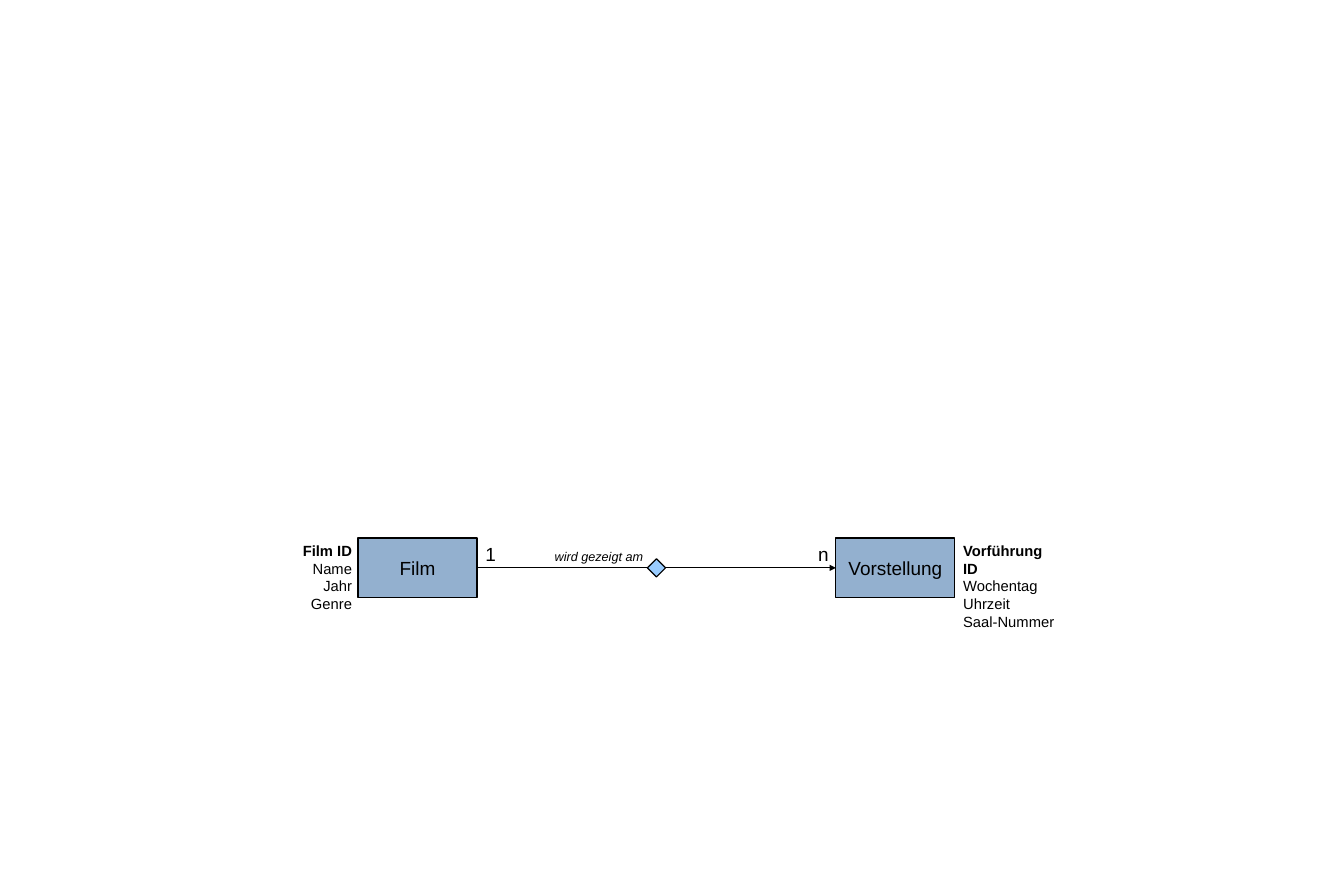
from lxml import etree
from pptx import Presentation
from pptx.dml.color import RGBColor
from pptx.enum.shapes import MSO_CONNECTOR, MSO_SHAPE
from pptx.enum.text import MSO_ANCHOR, PP_ALIGN
from pptx.oxml.ns import qn
from pptx.util import Inches, Pt

STRAIGHT = MSO_CONNECTOR.STRAIGHT
RECTANGLE, DIAMOND = MSO_SHAPE.RECTANGLE, MSO_SHAPE.DIAMOND
MIDDLE = MSO_ANCHOR.MIDDLE
LEFT, CENTER, RIGHT = PP_ALIGN.LEFT, PP_ALIGN.CENTER, PP_ALIGN.RIGHT

COLORS = {"ink": "000000", "entity": "93B0CF", "relation": "99CCFF"}
FONT = "Arial"
LINE_WIDTH = 1.13

ENTITY_WIDTH, ENTITY_HEIGHT, ENTITY_TOP = 1.57, 0.79, 7.09
DIAMOND_SIZE = 0.24
ENTITIES = [("Film", 4.72), ("Vorstellung", 11.02)]
LABELS = [
    (["Film ID", "Name", "Jahr", "Genre"], (3.89, 7.09, 0.85, 0.97), 14, RIGHT, "key"),
    (["Vorführung ID", "Wochentag", "Uhrzeit", "Saal-Nummer"],
     (12.6, 7.09, 1.49, 0.97), 14, LEFT, "key"),
    (["1"], (6.3, 7.1, 0.34, 0.38), 18, LEFT, "plain"),
    (["n"], (10.69, 7.1, 0.34, 0.38), 18, LEFT, "plain"),
    (["wird gezeigt am"], (7.21, 7.19, 1.37, 0.29), 12, RIGHT, "italic"),
]


def color(name):
    return RGBColor.from_string(COLORS[name])


def write(frame, lines, size, align, style="plain"):
    frame.word_wrap = False
    for index, line in enumerate(lines):
        para = frame.add_paragraph() if index else frame.paragraphs[0]
        para.alignment = align
        span = para.add_run()
        span.text = line
        span.font.name = FONT
        span.font.size = Pt(size)
        span.font.color.rgb = color("ink")
        span.font.bold = style == "key" and index == 0
        span.font.italic = style == "italic"


def add_outlined(kind, left, top, width, height, fill):
    shape = page.shapes.add_shape(
        kind, Inches(left), Inches(top), Inches(width), Inches(height))
    shape.shadow.inherit = False
    shape.fill.solid()
    shape.fill.fore_color.rgb = color(fill)
    shape.line.color.rgb = color("ink")
    shape.line.width = Pt(LINE_WIDTH)
    return shape


def add_entity(name, left):
    box = add_outlined(RECTANGLE, left, ENTITY_TOP, ENTITY_WIDTH, ENTITY_HEIGHT, "entity")
    frame = box.text_frame
    frame.vertical_anchor = MIDDLE
    frame.margin_left = frame.margin_right = Inches(0.11)
    frame.margin_top = frame.margin_bottom = Inches(0.06)
    write(frame, [name], 18, CENTER)
    return box


def add_arrow(source, target):
    arrow = page.shapes.add_connector(STRAIGHT, 0, 0, 0, 0)
    arrow.begin_connect(source, 3)
    arrow.end_connect(target, 1)
    arrow.line.color.rgb = color("ink")
    arrow.line.width = Pt(LINE_WIDTH)
    etree.SubElement(arrow.line._get_or_add_ln(), qn("a:tailEnd"), type="triangle")
    etree.SubElement(arrow._element.spPr, qn("a:effectLst"))


deck = Presentation()
deck.slide_width, deck.slide_height = Inches(17.72), Inches(11.81)
page = deck.slides.add_slide(deck.slide_layouts[6])

film, showing = [add_entity(name, left) for name, left in ENTITIES]
add_arrow(film, showing)

center_x = (ENTITIES[0][1] + ENTITY_WIDTH + ENTITIES[1][1]) / 2
center_y = ENTITY_TOP + ENTITY_HEIGHT / 2
add_outlined(DIAMOND, center_x - DIAMOND_SIZE / 2, center_y - DIAMOND_SIZE / 2,
             DIAMOND_SIZE, DIAMOND_SIZE, "relation")

for lines, place, size, align, style in LABELS:
    label = page.shapes.add_textbox(*map(Inches, place))
    write(label.text_frame, lines, size, align, style)

deck.save("out.pptx")
